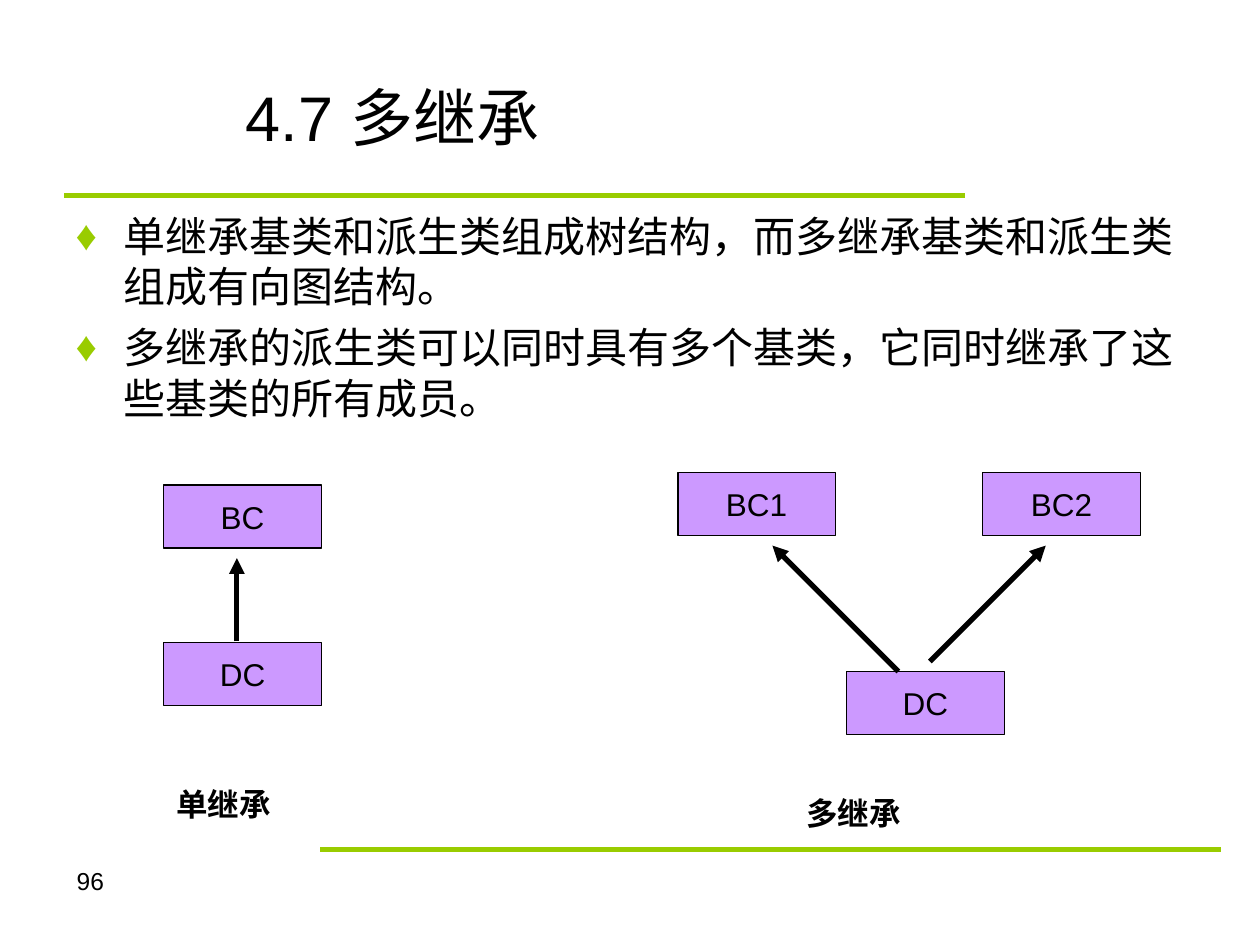
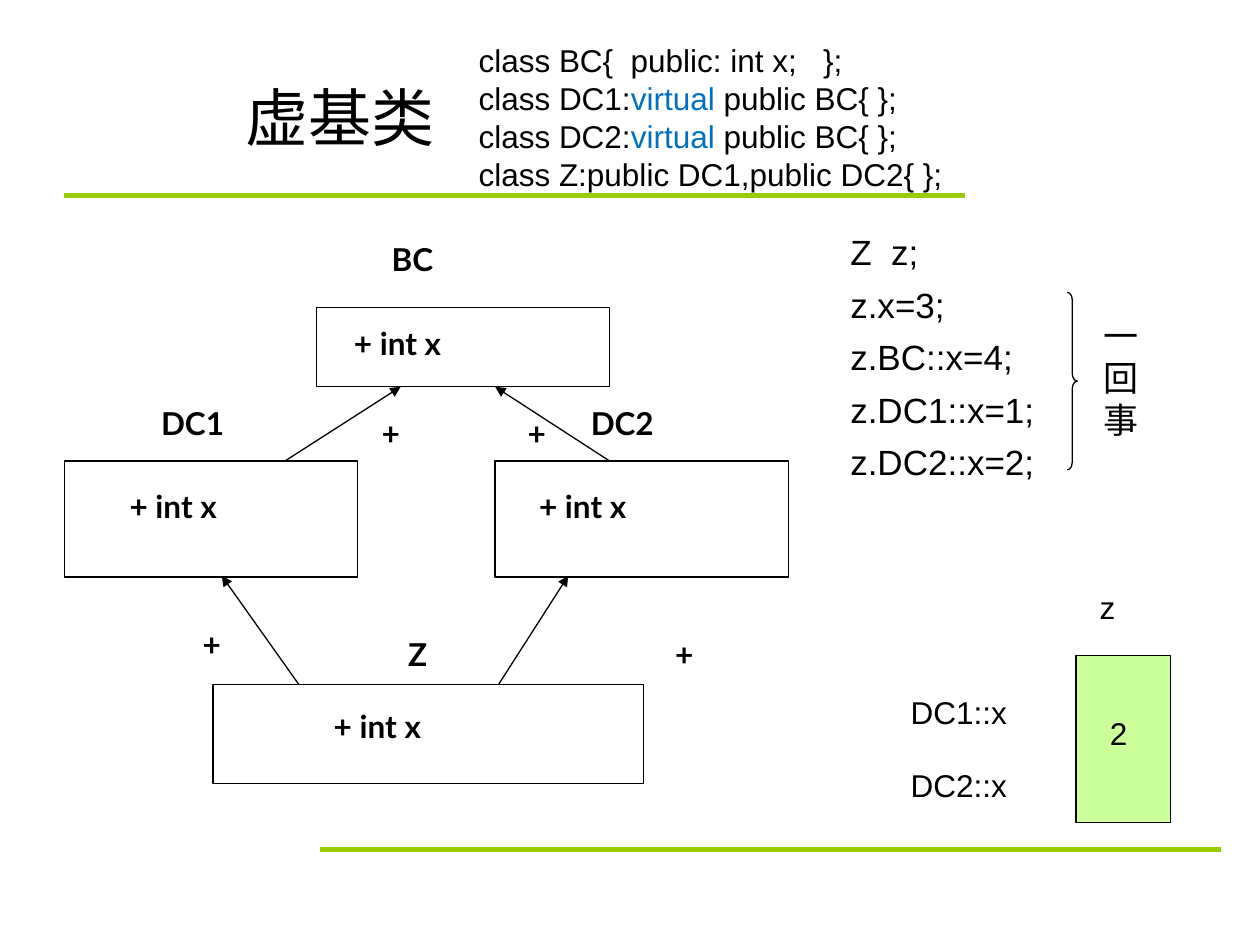
"""Build two slides on multiple inheritance and virtual base classes."""
from dataclasses import dataclass
from typing import Optional

from lxml.etree import SubElement
from pptx import Presentation
from pptx.dml.color import RGBColor
from pptx.enum.shapes import MSO_CONNECTOR, MSO_SHAPE
from pptx.enum.text import MSO_ANCHOR, MSO_AUTO_SIZE, PP_ALIGN
from pptx.oxml.ns import qn
from pptx.util import Emu, Pt

EMU_PER_PX = 9144
BLACK = "000000"
WHITE = "FFFFFF"
GREEN = "99CC00"
PURPLE = "CC99FF"
PALE_GREEN = "CCFF99"
BLUE = "0070C0"
SANS = "Arial"
DIAGRAM_FONT = "Lato"
KEYWORD = "virtual"
TITLE_LAYOUT = 5
BODY_LAYOUT = 1


@dataclass(frozen=True)
class Box:
    left: int
    top: int
    width: int
    height: int
    fill: Optional[str] = None
    text: str = ""


@dataclass(frozen=True)
class Label:
    text: str
    left: int
    top: int
    width: int
    height: int = 40
    size: int = 18
    font: str = SANS
    bold: bool = False
    space: int = 0


@dataclass(frozen=True)
class Line:
    start: tuple[int, int]
    end: tuple[int, int]
    color: str = BLACK
    weight: float = 0.75
    arrow: bool = True


BANDS = (
    Line((51, 155), (766, 155), GREEN, 3, False),
    Line((254, 674), (969, 674), GREEN, 3, False),
)


def px(length: int) -> Emu:
    return Emu(length * EMU_PER_PX)


def rgb(color: str) -> RGBColor:
    return RGBColor.from_string(color)


def place(shape, left: int, top: int, width: int, height: int) -> None:
    shape.left, shape.top = px(left), px(top)
    shape.width, shape.height = px(width), px(height)


def set_font(paragraph, size: int, font: str = SANS, bold: bool = False) -> None:
    paragraph.font.size = Pt(size)
    paragraph.font.name = font
    paragraph.font.bold = bold
    paragraph.font.color.rgb = rgb(BLACK)


def add_line(slide, line: Line) -> None:
    connector = slide.shapes.add_connector(
        MSO_CONNECTOR.STRAIGHT, *map(px, line.start + line.end)
    )
    connector.line.color.rgb = rgb(line.color)
    connector.line.width = Pt(line.weight)
    if line.arrow:
        SubElement(connector.line._get_or_add_ln(), qn("a:tailEnd"), type="triangle")
    SubElement(connector._element.spPr, qn("a:effectLst"))


def add_box(slide, box: Box, kind: MSO_SHAPE = MSO_SHAPE.RECTANGLE):
    shape = slide.shapes.add_shape(
        kind, px(box.left), px(box.top), px(box.width), px(box.height)
    )
    shape.shadow.inherit = False
    if box.fill:
        shape.fill.solid()
        shape.fill.fore_color.rgb = rgb(box.fill)
    else:
        shape.fill.background()
    shape.line.color.rgb = rgb(BLACK)
    shape.line.width = Pt(0.75)
    if box.text:
        frame = shape.text_frame
        frame.word_wrap = False
        frame.vertical_anchor = MSO_ANCHOR.MIDDLE
        paragraph = frame.paragraphs[0]
        paragraph.text = box.text
        paragraph.alignment = PP_ALIGN.CENTER
        set_font(paragraph, 18)
    return shape


def add_label(slide, label: Label) -> None:
    shape = slide.shapes.add_textbox(
        px(label.left), px(label.top), px(label.width), px(label.height)
    )
    frame = shape.text_frame
    frame.word_wrap = True
    frame.text = label.text
    for index, paragraph in enumerate(frame.paragraphs):
        if index:
            paragraph.space_before = Pt(label.space)
        set_font(paragraph, label.size, label.font, label.bold)


def add_class_code(slide, lines: tuple[str, ...]) -> None:
    shape = slide.shapes.add_textbox(px(370), px(28), px(450), px(130))
    frame = shape.text_frame
    frame.word_wrap = True
    for index, line in enumerate(lines):
        paragraph = frame.add_paragraph() if index else frame.paragraphs[0]
        for part in filter(None, line.partition(KEYWORD)):
            run = paragraph.add_run()
            run.text = part
            if part == KEYWORD:
                run.font.color.rgb = rgb(BLUE)
        set_font(paragraph, 18)


def add_bullets(placeholder, items: tuple[str, ...]) -> None:
    place(placeholder, 50, 162, 900, 504)
    frame = placeholder.text_frame
    frame.auto_size = MSO_AUTO_SIZE.NONE
    frame.text = "\n".join(items)
    for index, paragraph in enumerate(frame.paragraphs):
        properties = paragraph._p.get_or_add_pPr()
        properties.set("marL", str(px(38)))
        properties.set("indent", str(px(-38)))
        bullet_color = SubElement(properties, qn("a:buClr"))
        SubElement(bullet_color, qn("a:srgbClr"), val=GREEN)
        SubElement(properties, qn("a:buChar"), char="♦")
        paragraph.space_before = Pt(6 if index else 0)
        set_font(paragraph, 24)


def start_slide(presentation, layout: int, title: str):
    slide = presentation.slides.add_slide(presentation.slide_layouts[layout])
    for band in BANDS:
        add_line(slide, band)
    heading = slide.shapes.title
    place(heading, 185, 30, 765, 125)
    frame = heading.text_frame
    frame.auto_size = MSO_AUTO_SIZE.NONE
    frame.vertical_anchor = MSO_ANCHOR.MIDDLE
    frame.text = title
    frame.paragraphs[0].alignment = PP_ALIGN.LEFT
    set_font(frame.paragraphs[0], 36)
    return slide


def build_inheritance_slide(presentation) -> None:
    slide = start_slide(presentation, BODY_LAYOUT, "4.7 多继承")
    add_bullets(
        slide.placeholders[1],
        (
            "单继承基类和派生类组成树结构，而多继承基类和派生类组成有向图结构。",
            "多继承的派生类可以同时具有多个基类，它同时继承了这些基类的所有成员。",
        ),
    )
    for name, left, top in (
        ("BC", 130, 385),
        ("DC", 130, 510),
        ("DC", 672, 533),
        ("BC2", 780, 375),
        ("BC1", 538, 375),
    ):
        add_box(slide, Box(left, top, 125, 50, PURPLE, name))
    for start, end in (
        ((188, 509), (188, 443)),
        ((713, 533), (613, 433)),
        ((738, 525), (830, 433)),
    ):
        add_line(slide, Line(start, end, weight=3))
    for label in (
        Label("单继承", 130, 618, 150, bold=True),
        Label("多继承", 630, 625, 150, bold=True),
        Label("96", 51, 682, 142, 52, size=14),
    ):
        add_label(slide, label)


def build_virtual_base_slide(presentation) -> None:
    slide = start_slide(presentation, TITLE_LAYOUT, "虚基类")
    for start, end in (
        ((226, 366), (318, 307)),
        ((484, 366), (393, 307)),
        ((259, 574), (176, 457)),
        ((376, 574), (451, 457)),
    ):
        add_line(slide, Line(start, end))
    for box in (
        Box(251, 244, 233, 63),
        Box(51, 366, 233, 92),
        Box(393, 366, 233, 92),
        Box(169, 543, 342, 79, WHITE),
        Box(854, 520, 75, 133, PALE_GREEN),
    ):
        add_box(slide, box)
    for text, left, top in (
        ("BC", 301, 186),
        ("DC1", 118, 316),
        ("DC2", 459, 316),
        ("Z", 314, 499),
        ("+ int x", 271, 252),
        ("+ int x", 93, 382),
        ("+ int x", 418, 382),
        ("+ int x", 255, 556),
        ("+", 293, 324),
        ("+", 409, 324),
        ("+", 151, 491),
        ("+", 526, 499),
    ):
        width = 50 if text == "+" else 158
        add_label(slide, Label(text, left, top, width, font=DIAGRAM_FONT, bold=True))
    statements = "Z  z;\nz.x=3;\nz.BC::x=4;\nz.DC1::x=1;\nz.DC2::x=2;"
    for label in (
        Label(statements, 665, 178, 217, 210, size=20, space=6),
        Label("一回事", 866, 245, 42, 110, size=20),
        Label("DC1::x", 713, 545, 133),
        Label("DC2::x", 713, 603, 133),
        Label("z", 863, 462, 67),
        Label("2", 871, 562, 42),
    ):
        add_label(slide, label)
    brace = add_box(slide, Box(847, 232, 8, 141), MSO_SHAPE.RIGHT_BRACE)
    brace.adjustments[0] = 0.75
    add_class_code(
        slide,
        (
            "class BC{  public: int x;   };",
            "class DC1:virtual public BC{ };",
            "class DC2:virtual public BC{ };",
            "class Z:public DC1,public DC2{ };",
        ),
    )


def main() -> None:
    presentation = Presentation()
    presentation.slide_width, presentation.slide_height = px(1000), px(750)
    build_inheritance_slide(presentation)
    build_virtual_base_slide(presentation)
    presentation.save("out.pptx")


if __name__ == "__main__":
    main()
